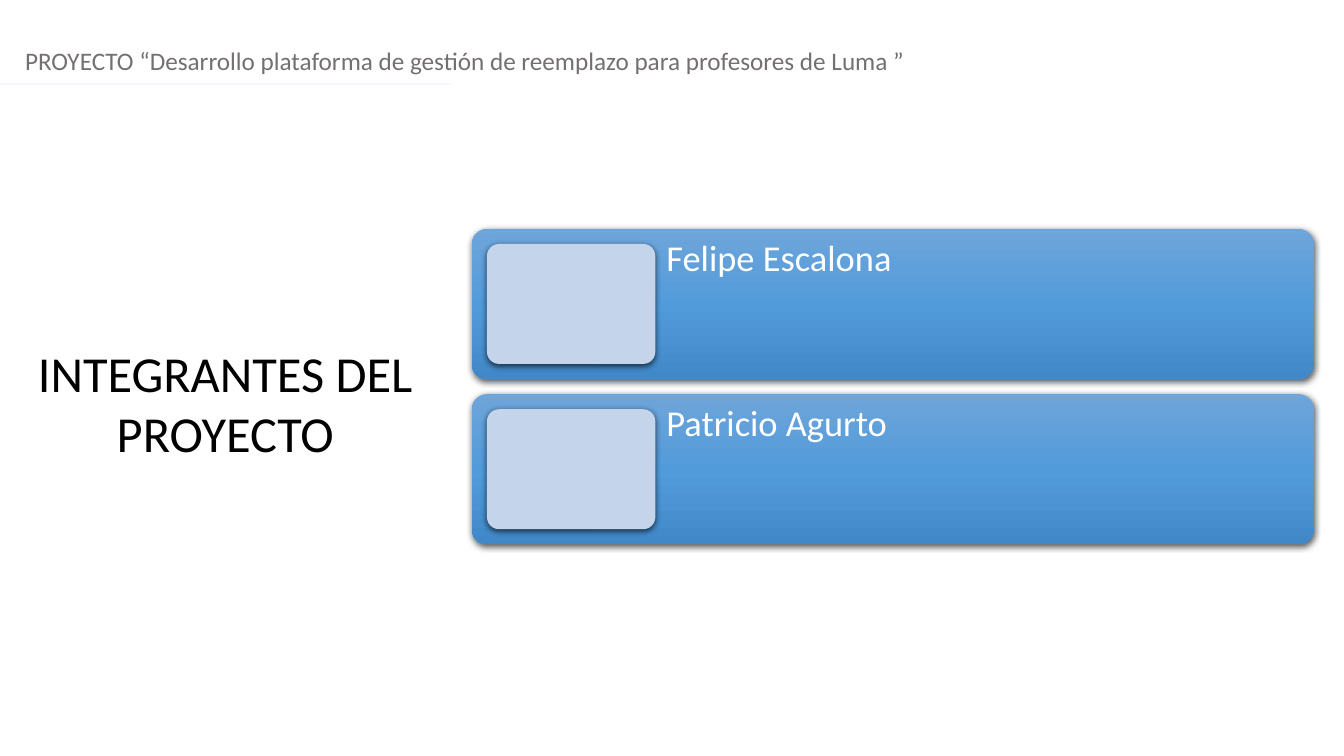
from pptx import Presentation
from pptx import util as u
from pptx.dml.color import RGBColor
from pptx.enum import shapes, text
from pptx.oxml import parse_xml
from pptx.oxml.ns import nsdecls
from lxml import etree

I = u.Inches
deck = Presentation()
deck.slide_width, deck.slide_height = I(13.33), I(7.5)
slide = deck.slides.add_slide(deck.slide_layouts[6])
items = slide.shapes


def label(words, box, size, color, pad=(0.1, 0.05), **form):
    frame = items.add_textbox(*map(I, box)).text_frame
    frame.word_wrap = True
    for side, gap in zip(("left", "top", "right", "bottom"), pad * 2):
        setattr(frame, "margin_" + side, I(gap))
    para = frame.paragraphs[0]
    for key, value in form.items():
        setattr(para, key, value)
    run = para.add_run()
    run.text = words
    for key, value in {"name": "Calibri", "size": u.Pt(size)}.items():
        setattr(run.font, key, value)
    run.font.color.rgb = RGBColor.from_string(color)


def card(box, stops):
    shape = items.add_shape(shapes.MSO_SHAPE.ROUNDED_RECTANGLE, *map(I, box))
    shape.adjustments[0] = 0.1
    shape.line.fill.background()
    # Fill: one colour, or a vertical gradient
    if len(stops) == 1:
        shape.fill.solid()
        shape.fill.fore_color.rgb = RGBColor.from_string(stops[0])
    else:
        marks = "".join(
            f'<a:gs pos="{n * 50000}"><a:srgbClr val="{c}"/></a:gs>'
            for n, c in enumerate(stops))
        shape._element.spPr.insert(2, parse_xml(
            f'<a:gradFill {nsdecls("a")} rotWithShape="1"><a:gsLst>{marks}</a:gsLst>'
            '<a:lin ang="5400000" scaled="0"/></a:gradFill>'))
    # Soft shadow below
    shape._element.spPr.append(parse_xml(
        f'<a:effectLst {nsdecls("a")}><a:outerShdw blurRad="57150" dist="19050" '
        'dir="5400000" algn="ctr" rotWithShape="0"><a:srgbClr val="000000">'
        '<a:alpha val="63000"/></a:srgbClr></a:outerShdw></a:effectLst>'))


# Header and title
label("PROYECTO “Desarrollo plataforma de gestión de reemplazo para profesores de Luma ”",
      (0.15, 0.4, 13.18, 0.4), 18, "757070")
label("INTEGRANTES DEL PROYECTO", (0.26, 3.34, 3.95, 1.31), 36, "000000",
      alignment=text.PP_ALIGN.CENTER)

# Header rule
rule = items.add_connector(shapes.MSO_CONNECTOR.STRAIGHT, I(0), I(0.83), I(4.47), I(0.83))
rule.line.color.rgb = RGBColor.from_string("F5F7FC")
rule.line.width = u.Pt(1.25)
etree.SubElement(rule._element.spPr,
                 "{http://schemas.openxmlformats.org/drawingml/2006/main}effectLst")

# Team members
left, high, pad, wide = 4.68, 1.49, 0.15, 1.67
for n, name in enumerate(("Felipe Escalona", "Patricio Agurto")):
    top = 2.27 + n * (high + pad)
    card((left, top, 8.35, high), ("6EA5DA", "529BDA", "4188C8"))
    label(name, (6.5, top, 6.53, high), 26, "FFFFFF", (0.11, 0.11), line_spacing=0.9)
    card((left + pad, top + pad, wide, high - 2 * pad), ("C3D4EB",))

deck.save("out.pptx")
